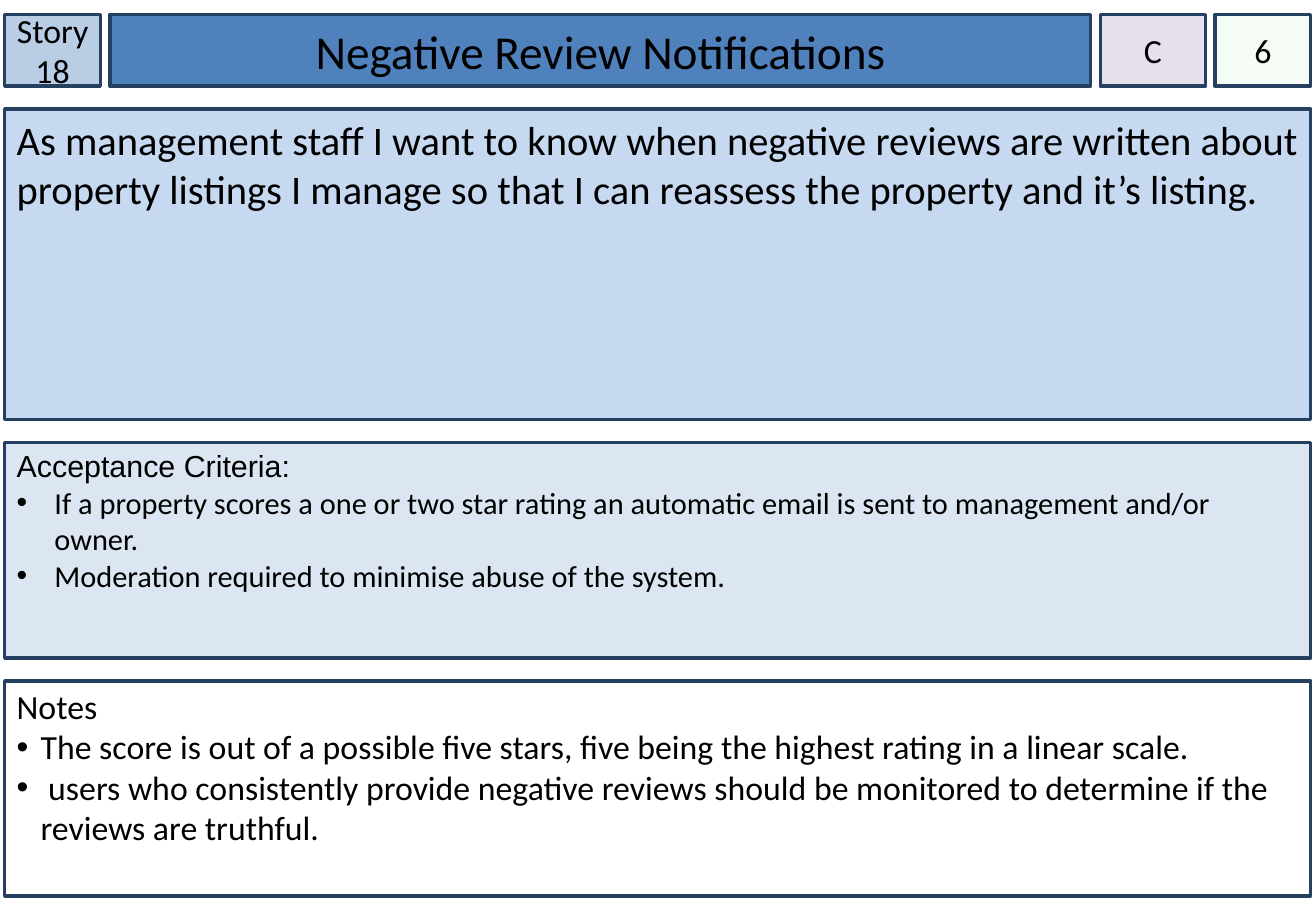
from lxml.etree import SubElement
from pptx import Presentation
from pptx.dml.color import RGBColor
from pptx.enum.shapes import MSO_SHAPE
from pptx.enum.text import MSO_ANCHOR, PP_ALIGN
from pptx.oxml.ns import qn
from pptx.util import Cm, Pt

# Header cells: text, width, size, fill, opacity, side inset
HEAD = [
    ("Story 18", 2, 20, "B9CDE5", 100, 0),
    ("Negative Review Notifications", 20.5, 28, "4F81BD", 100, 0.25),
    ("C", 2.2, 20, "E6E0EC", 100, 0),
    ("6", 2, 20, "CCF0CD", 20, 0),
]
# Panels: lead text, lead font, bullets, indent, height, size, fill, top inset
BODY = [
    ("As management staff I want to know when negative reviews are written "
     "about property listings I manage so that I can reassess the property "
     "and it’s listing.", "Calibri", [], 0, 6.5, 24, "C6D9F1", 0.13),
    ("Acceptance Criteria:", "Arial", [
        "If a property scores a one or two star rating an automatic email "
        "is sent to management and/or owner.",
        "Moderation required to minimise abuse of the system.",
    ], 0.79, 4.5, 18, "DCE6F2", 0.1),
    ("Notes", "Calibri", [
        "The score is out of a possible five stars, five being the highest "
        "rating in a linear scale.",
        " users who consistently provide negative reviews should be "
        "monitored to determine if the reviews are truthful.",
    ], 0.5, 4.5, 20, "FFFFFF", 0.1),
]
LEFT, TOP, WIDE, HIGH = 0.1, 0.3, 27.3, 1.5
COL_GAP, ROW_GAP = 0.2, 0.48


def color(code):
    return RGBColor.from_string(code)


def box(x, y, w, h, fill, side, top, anchor):
    """Draw a bordered rectangle and return it."""
    rect = slide.shapes.add_shape(MSO_SHAPE.RECTANGLE, Cm(x), Cm(y), Cm(w), Cm(h))
    rect.shadow.inherit = False
    rect.fill.solid()
    rect.fill.fore_color.rgb = color(fill)
    rect.line.color.rgb = color("254061")
    rect.line.width = Pt(2)
    frame = rect.text_frame
    frame.word_wrap = True
    frame.vertical_anchor = anchor
    frame.margin_left = frame.margin_right = Cm(side)
    frame.margin_top, frame.margin_bottom = Cm(top), Cm(0.13)
    return rect


def write(para, text, size, face, align, indent=0):
    """Fill a paragraph, with a hanging bullet if it is indented."""
    para.text = text
    para.alignment = align
    if indent:
        props = para._p.get_or_add_pPr()
        props.set("marL", str(Cm(indent)))
        props.set("indent", str(-Cm(indent)))
        SubElement(props, qn("a:buFont")).set("typeface", "Arial")
        SubElement(props, qn("a:buChar")).set("char", "•")
    font = para.font
    font.size, font.name = Pt(size), face
    font.color.rgb = color("000000")


deck = Presentation()
deck.slide_width, deck.slide_height = Cm(27.51), Cm(19.05)
slide = deck.slides.add_slide(deck.slide_layouts[6])

# Header row
x = LEFT
for text, w, size, fill, solid, side in HEAD:
    cell = box(x, TOP, w, HIGH, fill, side, 0.13, MSO_ANCHOR.MIDDLE)
    if solid < 100:
        tint = cell._element.spPr.find(qn("a:solidFill"))[0]
        SubElement(tint, qn("a:alpha")).set("val", str(solid * 1000))
    write(cell.text_frame.paragraphs[0], text, size, "Calibri", PP_ALIGN.CENTER)
    x += w + COL_GAP

# Stacked panels
y = TOP + HIGH + ROW_GAP
for lead, face, items, indent, h, size, fill, top in BODY:
    frame = box(LEFT, y, WIDE, h, fill, 0.25, top, MSO_ANCHOR.TOP).text_frame
    write(frame.paragraphs[0], lead, size, face, PP_ALIGN.LEFT)
    for item in items:
        write(frame.add_paragraph(), item, size, "Calibri", PP_ALIGN.LEFT, indent)
    y += h + ROW_GAP

deck.save("out.pptx")
